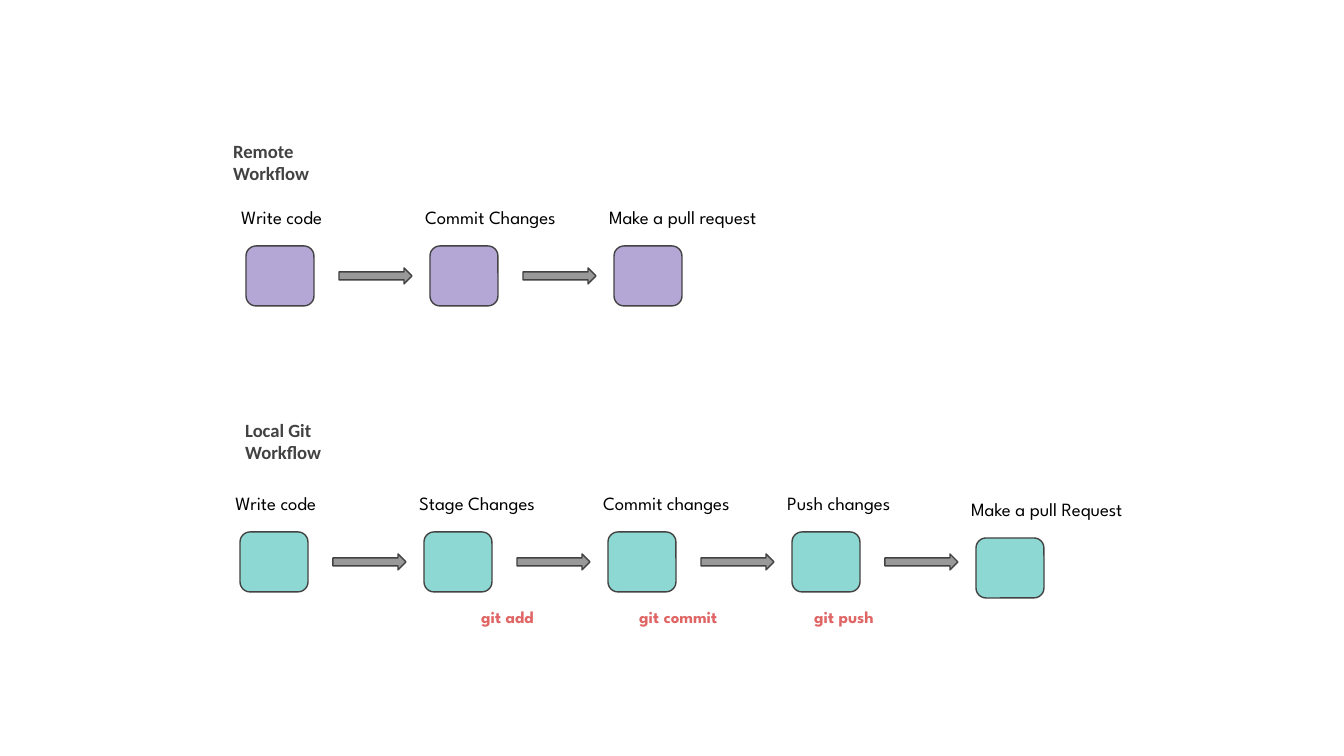
from dataclasses import dataclass

from pptx import Presentation
from pptx.dml.color import RGBColor
from pptx.enum.shapes import MSO_SHAPE
from pptx.enum.text import MSO_ANCHOR
from pptx.util import Emu, Inches, Pt

ROUNDED = MSO_SHAPE.ROUNDED_RECTANGLE
ARROW = MSO_SHAPE.RIGHT_ARROW
TOP = MSO_ANCHOR.TOP

PURPLE = RGBColor(0xB4, 0xA7, 0xD6)
TEAL = RGBColor(0x8D, 0xD8, 0xD3)
GRAY = RGBColor(0x99, 0x99, 0x99)
DARK = RGBColor(0x42, 0x42, 0x42)
BLACK = RGBColor(0x00, 0x00, 0x00)
RED = RGBColor(0xE0, 0x66, 0x66)

HEADING_FONT = "Calibri"
BODY_FONT = "League Spartan"

PX_PER_INCH = 134.4
STEP_PITCH = 184
STEP_W, STEP_H = 68, 60
ARROW_W, ARROW_H = 73, 16
ARROW_DX = 93
LABEL_DX, LABEL_DY, LABEL_H = -18, -48, 19


@dataclass
class Caption:
    text: str
    left: int
    top: int
    width: int
    height: int


@dataclass
class Step:
    label: str
    label_width: int = 159
    drop: int = 0


@dataclass
class Workflow:
    heading: Caption
    left: int
    top: int
    color: RGBColor
    steps: list[Step]


WORKFLOWS = [
    Workflow(Caption("Remote Workflow", 220, 126, 118, 43), 246, 246, PURPLE, [
        Step("Write code"),
        Step("Commit Changes", 184),
        Step("Make a pull request", 198),
    ]),
    Workflow(Caption("Local Git Workflow", 232, 405, 125, 43), 240, 532, TEAL, [
        Step("Write code"),
        Step("Stage Changes"),
        Step("Commit changes", 176),
        Step("Push changes"),
        Step("Make a pull Request", 210, drop=6),
    ]),
]

COMMANDS = [
    Caption("git add", 468, 597, 103, 52),
    Caption("git commit", 626, 597, 132, 52),
    Caption("git push", 801, 597, 103, 52),
]


def px(length: int) -> Emu:
    return Emu(round(length * 914400 / PX_PER_INCH))


def add_caption(slide, caption: Caption, font_name: str, size: int,
                color: RGBColor, bold: bool = False) -> None:
    box = slide.shapes.add_textbox(px(caption.left), px(caption.top),
                                   px(caption.width), px(caption.height))
    frame = box.text_frame
    frame.word_wrap = True
    frame.vertical_anchor = TOP
    frame.margin_left = frame.margin_right = Inches(0.1)
    frame.margin_top = frame.margin_bottom = Inches(0.1)
    paragraph = frame.paragraphs[0]
    paragraph.text = caption.text
    font = paragraph.font
    font.name, font.size, font.bold = font_name, Pt(size), bold
    font.color.rgb = color


def add_block(slide, preset: MSO_SHAPE, left: int, top: int, width: int,
              height: int, color: RGBColor) -> None:
    block = slide.shapes.add_shape(preset, px(left), px(top), px(width), px(height))
    block.shadow.inherit = False
    block.fill.solid()
    block.fill.fore_color.rgb = color
    block.line.color.rgb = DARK
    block.line.width = Pt(0.75)


def add_workflow(slide, flow: Workflow) -> None:
    add_caption(slide, flow.heading, HEADING_FONT, 10, DARK, bold=True)
    for index, step in enumerate(flow.steps):
        left = flow.left + index * STEP_PITCH
        top = flow.top + step.drop
        add_block(slide, ROUNDED, left, top, STEP_W, STEP_H, flow.color)
        # An arrow leads on from every step but the last
        if index < len(flow.steps) - 1:
            add_block(slide, ARROW, left + ARROW_DX, top + (STEP_H - ARROW_H) // 2,
                      ARROW_W, ARROW_H, GRAY)
        label = Caption(step.label, left + LABEL_DX, top + LABEL_DY,
                        step.label_width, LABEL_H)
        add_caption(slide, label, BODY_FONT, 10, BLACK)


def main() -> None:
    prs = Presentation()
    prs.slide_width, prs.slide_height = px(1344), px(756)
    slide = prs.slides.add_slide(prs.slide_layouts[6])

    # Both workflows
    for flow in WORKFLOWS:
        add_workflow(slide, flow)

    # Git commands under the local steps
    for command in COMMANDS:
        add_caption(slide, command, BODY_FONT, 9, RED, bold=True)

    prs.save("out.pptx")


if __name__ == "__main__":
    main()
